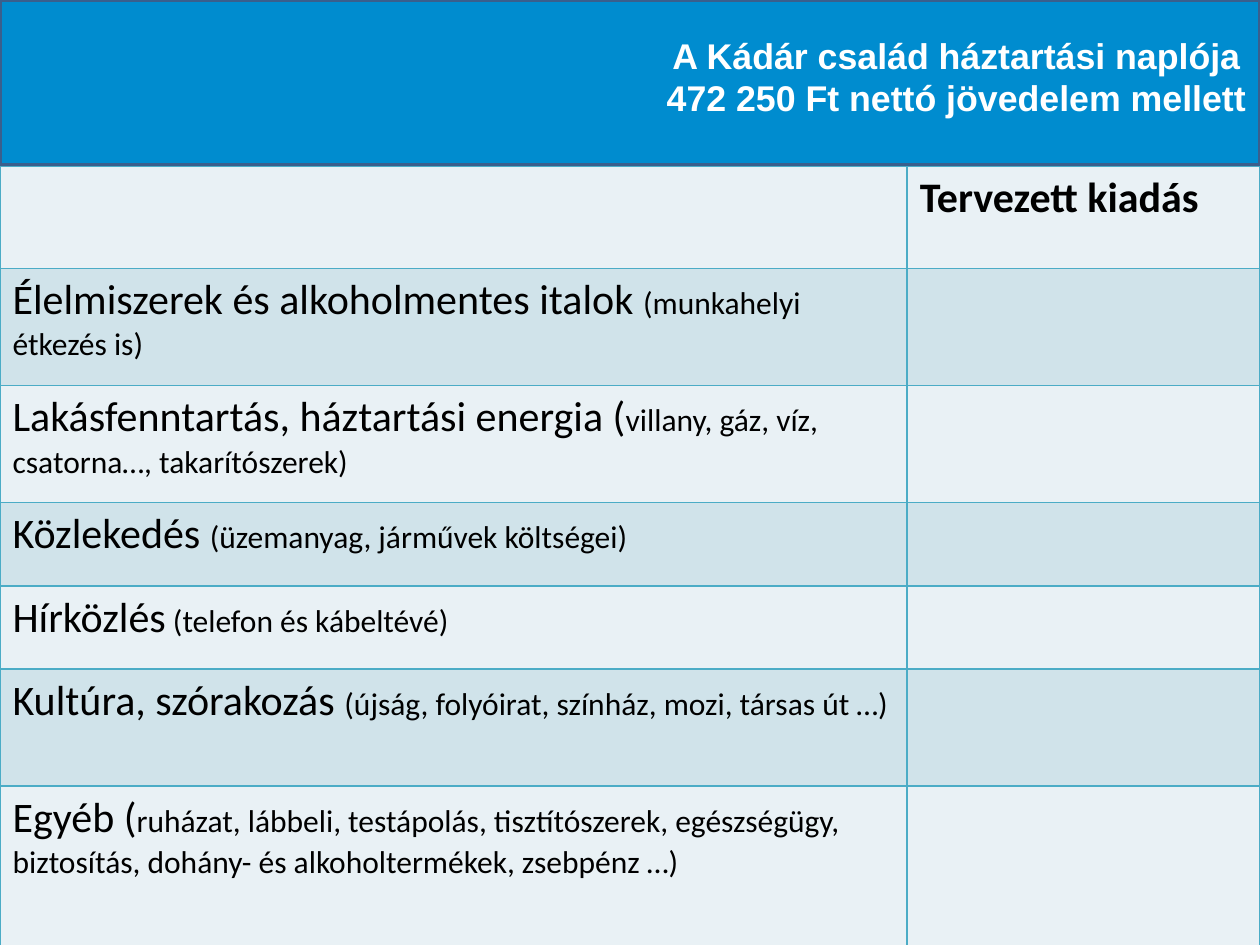
from dataclasses import dataclass

import pptx
import pptx.dml.color
import pptx.enum.shapes
import pptx.enum.text
import pptx.oxml
import pptx.oxml.ns
import pptx.util

Inches = pptx.util.Inches
Pt = pptx.util.Pt

BORDER = "4BACC6"
ROW_FILLS = ("E9F1F5", "D0E3EA")
COLUMN_WIDTHS = (7.2, 2.8)
PLANNED_HEADING = "Tervezett kiadás"
TITLE_LINES = ("A Kádár család háztartási naplója", "472 250 Ft nettó jövedelem mellett")


@dataclass(frozen=True)
class Band:
    top: float
    height: float
    fill: str


@dataclass(frozen=True)
class Expense:
    name: str
    details: str
    height: float


BANDS = (Band(0, 1.31, "008CCF"), Band(7.14, 0.36, "232157"))
HEADING_HEIGHT = 0.81
EXPENSES = (
    Expense("Élelmiszerek és alkoholmentes italok ", "(munkahelyi étkezés is)", 0.93),
    Expense("Lakásfenntartás, háztartási energia (",
            "villany, gáz, víz, csatorna…, takarítószerek)", 0.93),
    Expense("Közlekedés ", "(üzemanyag, járművek költségei)", 0.66),
    Expense("Hírközlés", " (telefon és kábeltévé)", 0.66),
    Expense("Kultúra, szórakozás ", "(újság, folyóirat, színház, mozi, társas út …)", 0.93),
    Expense("Egyéb (", "ruházat, lábbeli, testápolás, tisztítószerek, egészségügy, "
            "biztosítás, dohány- és alkoholtermékek, zsebpénz …)", 1.27),
)


def rgb(value: str) -> pptx.dml.color.RGBColor:
    return pptx.dml.color.RGBColor.from_string(value)


def add_run(paragraph, text: str, size: float, color: str = "000000",
            name: str = "Calibri", bold: bool = False) -> None:
    run = paragraph.add_run()
    run.text = text
    for attribute, value in {"size": Pt(size), "name": name, "bold": bold}.items():
        setattr(run.font, attribute, value)
    run.font.color.rgb = rgb(color)


def add_band(slide, band: Band) -> None:
    shape = slide.shapes.add_shape(
        pptx.enum.shapes.MSO_SHAPE.RECTANGLE,
        Inches(0), Inches(band.top), Inches(10), Inches(band.height))
    shape.shadow.inherit = False
    shape.fill.solid()
    shape.fill.fore_color.rgb = rgb(band.fill)
    shape.line.color.rgb = rgb("3A5F8C")
    shape.line.width = Pt(2)


def fill_title(slide) -> None:
    title = slide.shapes.title
    slide.shapes._spTree.append(title._element)  # in front of the bands
    place = {"left": 5.03, "top": 0.14, "width": 5.12, "height": 0.93}
    for attribute, value in place.items():
        setattr(title, attribute, Inches(value))
    frame = title.text_frame
    frame.auto_size = pptx.enum.text.MSO_AUTO_SIZE.NONE
    frame.vertical_anchor = pptx.enum.text.MSO_ANCHOR.MIDDLE
    for index, line in enumerate(TITLE_LINES):
        paragraph = frame.add_paragraph() if index else frame.paragraphs[0]
        paragraph.alignment = pptx.enum.text.PP_ALIGN.CENTER
        add_run(paragraph, line, 20.4, "FFFFFF", "Arial", True)


def style_cell(cell, fill: str) -> None:
    """Give the cell its borders and fill; borders must come first in the XML."""
    properties = cell._tc.get_or_add_tcPr()
    for side in ("lnL", "lnR", "lnT", "lnB"):
        properties.append(pptx.oxml.parse_xml(
            f'<a:{side} {pptx.oxml.ns.nsdecls("a")} w="{Pt(1)}">'
            f'<a:solidFill><a:srgbClr val="{BORDER}"/></a:solidFill></a:{side}>'))
    cell.fill.solid()
    cell.fill.fore_color.rgb = rgb(fill)


def add_budget_table(slide) -> None:
    heights = [HEADING_HEIGHT] + [expense.height for expense in EXPENSES]
    budget = slide.shapes.add_table(
        len(heights), len(COLUMN_WIDTHS), Inches(0), Inches(1.32),
        Inches(sum(COLUMN_WIDTHS)), Inches(sum(heights))).table
    budget.first_row = False
    budget.horz_banding = False
    for column, width in zip(budget.columns, COLUMN_WIDTHS):
        column.width = Inches(width)
    for index, (row, height) in enumerate(zip(budget.rows, heights)):
        row.height = Inches(height)
        for cell in row.cells:
            style_cell(cell, ROW_FILLS[index % 2])
    add_run(budget.cell(0, 1).text_frame.paragraphs[0], PLANNED_HEADING, 24, bold=True)
    for index, expense in enumerate(EXPENSES, start=1):
        paragraph = budget.cell(index, 0).text_frame.paragraphs[0]
        add_run(paragraph, expense.name, 24)
        add_run(paragraph, expense.details, 18)


def main() -> None:
    deck = pptx.Presentation()
    deck.slide_width = Inches(10)
    deck.slide_height = Inches(7.5)
    slide = deck.slides.add_slide(deck.slide_layouts.get_by_name("Title Only"))
    for band in BANDS:
        add_band(slide, band)
    fill_title(slide)
    add_budget_table(slide)
    deck.save("out.pptx")


if __name__ == "__main__":
    main()
